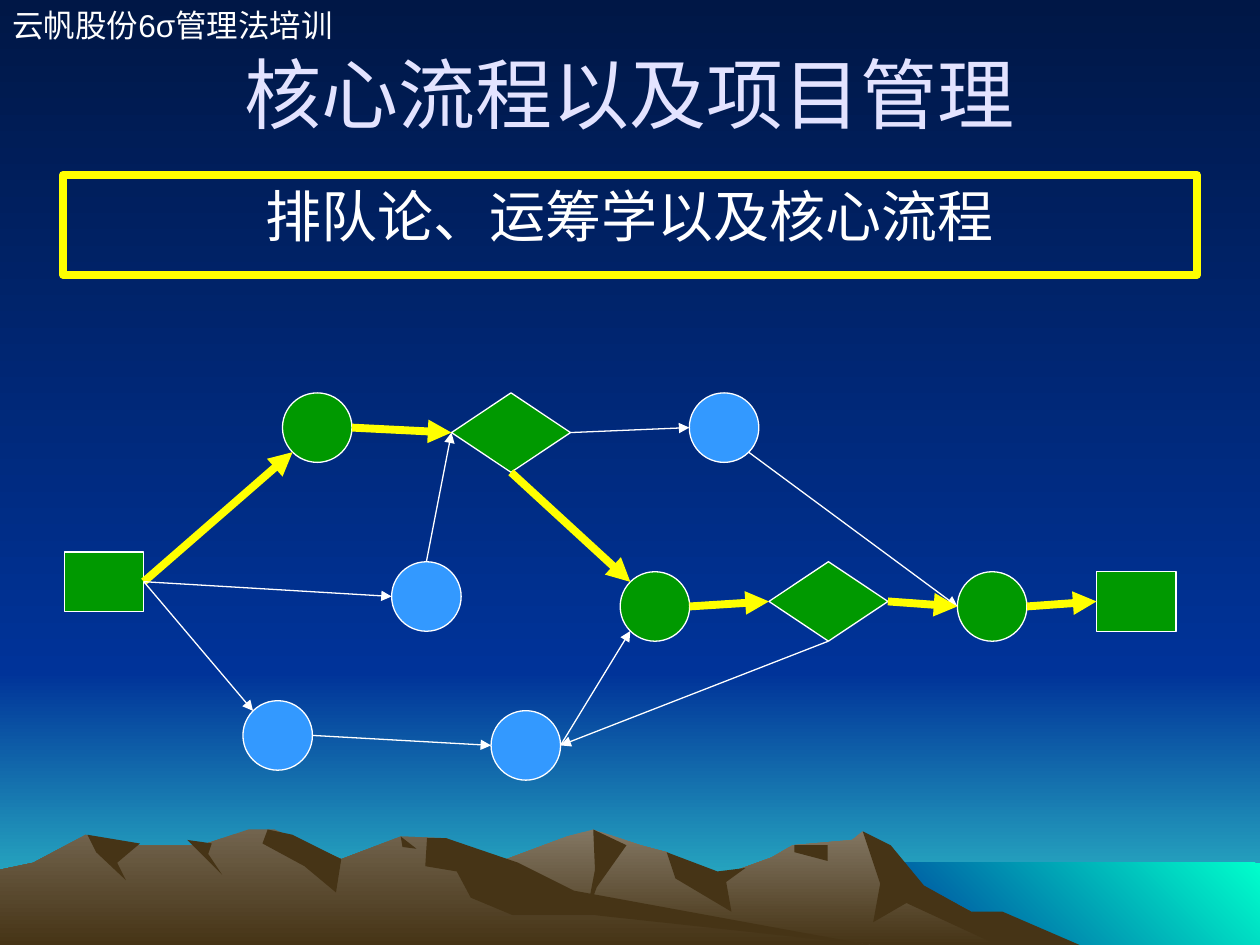
from dataclasses import dataclass
from math import hypot

from lxml.etree import SubElement
from pptx import Presentation
from pptx.dml.color import RGBColor
from pptx.enum.shapes import MSO_CONNECTOR, MSO_SHAPE
from pptx.enum.text import MSO_ANCHOR, MSO_AUTO_SIZE, PP_ALIGN
from pptx.oxml.ns import qn
from pptx.util import Pt


@dataclass(frozen=True)
class Theme:
    font: str = "Arial"
    header_size: float = 18
    title_size: float = 44
    topic_size: float = 32
    thin: float = 0.75
    thick: float = 4.5
    white: RGBColor = RGBColor.from_string("FFFFFF")
    title: RGBColor = RGBColor.from_string("E3E3FF")
    yellow: RGBColor = RGBColor.from_string("FFFF00")
    green: RGBColor = RGBColor.from_string("009900")
    blue: RGBColor = RGBColor.from_string("3399FF")
    night: RGBColor = RGBColor.from_string("001746")
    horizon: RGBColor = RGBColor.from_string("003399")
    haze: RGBColor = RGBColor.from_string("33CCCC")
    sea: RGBColor = RGBColor.from_string("00FFCC")
    far_rock: RGBColor = RGBColor.from_string("837763")
    near_rock: RGBColor = RGBColor.from_string("72644E")
    shade: RGBColor = RGBColor.from_string("463416")


theme = Theme()


def write_text(holder, text, size, color, align=PP_ALIGN.LEFT,
               anchor=MSO_ANCHOR.TOP, before=0, wrap=True, fit=MSO_AUTO_SIZE.NONE):
    frame = holder.text_frame
    frame.text = text
    frame.word_wrap = wrap
    frame.auto_size = fit
    frame.vertical_anchor = anchor
    paragraph = frame.paragraphs[0]
    paragraph.alignment = align
    paragraph.space_before = Pt(before)
    font = paragraph.runs[0].font
    font.name, font.size, font.color.rgb = theme.font, Pt(size), color
    return paragraph


def paint(fill, start, end=None, angle=270):
    if end is None:
        fill.solid()
        fill.fore_color.rgb = start
        return
    fill.gradient()
    fill.gradient_angle = angle
    for stop, color in zip(fill.gradient_stops, (start, end)):
        stop.color.rgb = color


prs = Presentation()
prs.slide_width, prs.slide_height = Pt(720), Pt(540)
slide = prs.slides.add_slide(prs.slide_layouts[1])
shapes = slide.shapes
paint(slide.background.fill, theme.night, theme.horizon)

# Sky and sea
bands = [
    (0, 384, 156, theme.horizon, theme.haze, 270),
    (0, 0, 384, theme.night, theme.horizon, 270),
    (492, 493, 47, theme.sea, theme.horizon, 225),
]
for left, top, height, start, end, angle in bands:
    band = shapes.add_shape(MSO_SHAPE.RECTANGLE, Pt(left), Pt(top), Pt(720 - left), Pt(height))
    band.shadow.inherit = False
    band.line.fill.background()
    paint(band.fill, start, end, angle)

# Mountains: each range is followed by its shaded faces, in points
mountains = [
    ((theme.far_rock, theme.shade), [
        (186, 540), (284, 493), (324, 478), (339, 474), (366, 483), (381, 487), (408, 502),
        (441, 490), (453, 483), (487, 480), (493, 475), (521, 503), (590, 540)]),
    ((theme.shade,), [
        (493, 475), (509, 483), (528, 506), (555, 521), (573, 521), (617, 540), (570, 540),
        (518, 516), (499, 527), (503, 505)]),
    ((theme.shade,), [(339, 474), (358, 483), (341, 507), (335, 523), (340, 497)]),
    ((theme.shade,), [(381, 487), (410, 498), (426, 496), (415, 504), (418, 521), (386, 502)]),
    ((theme.shade,), [(454, 483), (473, 483), (473, 492), (454, 487)]),
    ((theme.near_rock, theme.shade), [
        (0, 540), (0, 497), (19, 493), (49, 477), (68, 483), (115, 483), (142, 474),
        (157, 474), (195, 491), (229, 478), (255, 479), (311, 513), (497, 540)]),
    ((theme.shade,), [(153, 474), (167, 477), (195, 491), (192, 510), (174, 495), (150, 482)]),
    ((theme.shade,), [
        (244, 479), (255, 479), (296, 493), (328, 509), (497, 540), (340, 523), (293, 523),
        (269, 513), (261, 498), (243, 495)]),
    ((theme.shade,), [(229, 478), (238, 485), (230, 484)]),
    ((theme.shade,), [(107, 480), (121, 482), (119, 488), (127, 500)]),
    ((theme.shade,), [(50, 477), (80, 482), (67, 493), (72, 503), (55, 487)]),
]
for colors, outline in mountains:
    builder = shapes.build_freeform(*outline[0], scale=Pt(1))
    builder.add_line_segments(outline[1:], close=True)
    mountain = builder.convert_to_shape()
    mountain.shadow.inherit = False
    mountain.line.fill.background()
    paint(mountain.fill, *colors)

# Course header
header = shapes.add_textbox(Pt(0), Pt(0), Pt(212.4), Pt(28.8))
write_text(header, "云帆股份6σ管理法培训", theme.header_size, theme.white,
           before=11.2, wrap=False, fit=MSO_AUTO_SIZE.SHAPE_TO_FIT_TEXT)

# Title and framed topic, brought in front of the landscape
title, topic = shapes.title, slide.placeholders[1]
for holder, top, height in ((title, 18, 70.5), (topic, 100, 57)):
    holder.left, holder.top, holder.width, holder.height = Pt(36), Pt(top), Pt(648), Pt(height)
    holder.element.getparent().append(holder.element)
write_text(title, "核心流程以及项目管理", theme.title_size, theme.title,
           align=PP_ALIGN.CENTER, anchor=MSO_ANCHOR.MIDDLE)
topic_line = write_text(topic, "排队论、运筹学以及核心流程", theme.topic_size, theme.white,
                        align=PP_ALIGN.CENTER, before=8)
topic_format = topic_line._p.get_or_add_pPr()
topic_format.set("marL", "0")
topic_format.set("indent", "0")
SubElement(topic_format, qn("a:buNone"))
topic.line.color.rgb, topic.line.width = theme.yellow, Pt(theme.thick)

# Network steps: preset and size by kind, then kind, left, top and colour by step
kinds = {
    "box": (MSO_SHAPE.FLOWCHART_PROCESS, 45.4, 34),
    "circle": (MSO_SHAPE.FLOWCHART_CONNECTOR, 39.7, 39.7),
    "diamond": (MSO_SHAPE.FLOWCHART_DECISION, 68, 45.4),
}
upper, centre, lower = 224.5, 326.7, 400.4
raised = centre - 5.7
plan = {
    "start": ("box", 36.8, 315.4, theme.green),
    "first": ("circle", 161.4, upper, theme.green),
    "late": ("circle", 393.9, upper, theme.blue),
    "middle": ("circle", 223.8, raised, theme.blue),
    "merge": ("circle", 354.4, centre, theme.green),
    "rework": ("circle", 280.6, lower + 5.7, theme.blue),
    "low": ("circle", 138.8, lower, theme.blue),
    "choice": ("diamond", 258, upper, theme.green),
    "check": ("diamond", 439.4, raised, theme.green),
    "finish": ("box", 626.6, centre, theme.green),
    "last": ("circle", 547.1, centre, theme.green),
}
steps = {}
for key, (kind, left, top, color) in plan.items():
    preset, width, height = kinds[kind]
    step = shapes.add_shape(preset, Pt(left), Pt(top), Pt(width), Pt(height))
    step.shadow.inherit = False
    paint(step.fill, color)
    step.line.color.rgb, step.line.width = theme.white, Pt(theme.thin)
    steps[key] = step

# Arrows: the thick ones mark the critical path
sides = {"top": (0, -1), "left": (-1, 0), "bottom": (0, 1), "right": (1, 0),
         "top left": (-1, -1), "bottom left": (-1, 1), "bottom right": (1, 1)}
sites = list(sides)
arrows = [
    ("start", "right", "first", "bottom left", True),
    ("first", "right", "choice", "left", True),
    ("choice", "bottom", "merge", "top left", True),
    ("start", "right", "middle", "left", False),
    ("start", "right", "low", "top left", False),
    ("middle", "top", "choice", "left", False),
    ("choice", "right", "late", "left", False),
    ("low", "right", "rework", "left", False),
    ("rework", "right", "merge", "bottom left", False),
    ("merge", "right", "check", "left", True),
    ("check", "bottom", "rework", "right", False),
    ("late", "bottom right", "last", "left", False),
    ("check", "right", "last", "left", True),
    ("last", "right", "finish", "left", True),
]
for origin, exit_side, target, entry_side, critical in arrows:
    ends = []
    for key, side in ((origin, exit_side), (target, entry_side)):
        step, (dx, dy) = steps[key], sides[side]
        reach = 2 * hypot(dx, dy)
        ends += [int(step.left + step.width / 2 + dx * step.width / reach),
                 int(step.top + step.height / 2 + dy * step.height / reach)]
    arrow = shapes.add_connector(MSO_CONNECTOR.STRAIGHT, *ends)
    if plan[origin][0] != "circle":
        arrow.begin_connect(steps[origin], sites.index(exit_side))
    if plan[target][0] != "circle":
        arrow.end_connect(steps[target], sites.index(entry_side))
    arrow.line.color.rgb = theme.yellow if critical else theme.white
    arrow.line.width = Pt(theme.thick if critical else theme.thin)
    SubElement(arrow.line._get_or_add_ln(), qn("a:tailEnd"), type="triangle")
    SubElement(arrow.element.spPr, qn("a:effectLst"))

prs.save("out.pptx")
